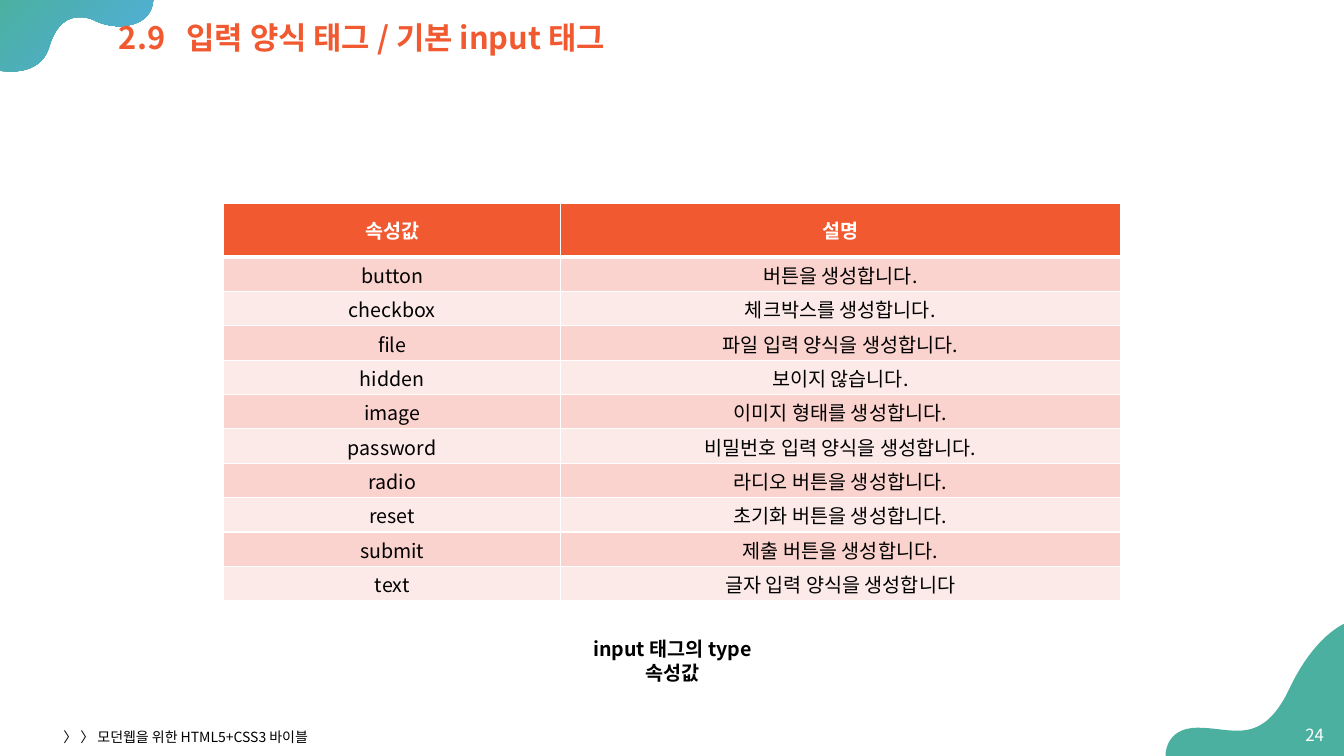
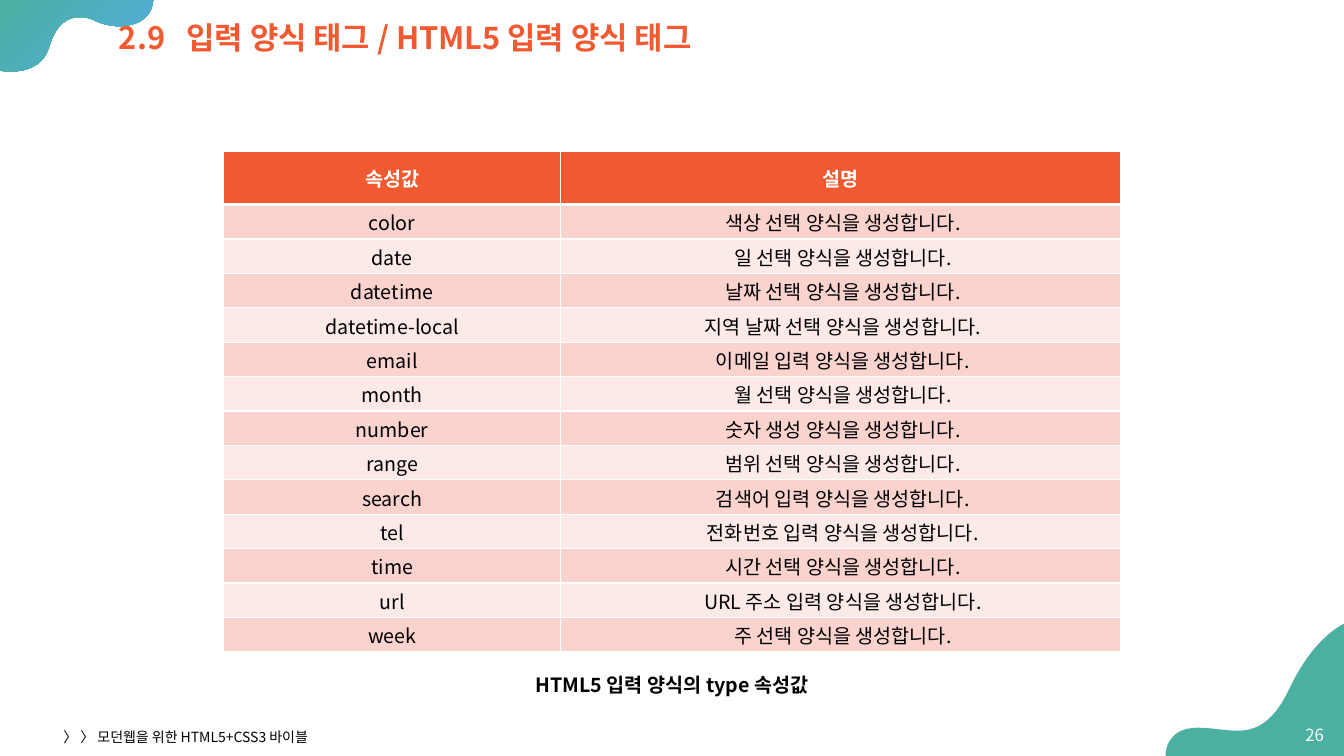
from lxml import etree
from pptx import Presentation
from pptx.dml.color import RGBColor
from pptx.enum.text import MSO_ANCHOR, MSO_AUTO_SIZE, PP_ALIGN
from pptx.oxml.ns import qn
from pptx.util import Inches, Pt

LEFT, CENTER, RIGHT = PP_ALIGN.LEFT, PP_ALIGN.CENTER, PP_ALIGN.RIGHT
TOP, MIDDLE = MSO_ANCHOR.TOP, MSO_ANCHOR.MIDDLE
NO_FIT, GROW = MSO_AUTO_SIZE.NONE, MSO_AUTO_SIZE.SHAPE_TO_FIT_TEXT

# Shared style
FONT = "Noto Sans CJK KR"
ORANGE, TEAL, BLUE = "F15A31", "4BB0A0", "52AEE1"
WHITE, BLACK = "FFFFFF", "000000"
ROW_FILLS = ("FAD2CE", "FCEAE8")
SLIDE_WIDTH, SLIDE_HEIGHT = 13.33, 7.5
TITLE_LAYOUT = 5

# Corner waves: a start point, then lines (x, y) and Bezier curves (two controls and an end)
TOP_WAVE = [
    (1.52, -0.02), (-0.01, -0.02), (-0.01, 0.7),
    (-0.01, 0.7, 0.04, 0.71, 0.11, 0.71),
    (0.24, 0.71, 0.43, 0.67, 0.49, 0.46),
    (0.56, 0.23, 0.68, 0.17, 0.79, 0.17),
    (0.84, 0.17, 0.89, 0.18, 0.93, 0.2),
    (1.01, 0.24, 1.1, 0.26, 1.18, 0.26),
    (1.37, 0.26, 1.52, 0.17, 1.52, -0.02),
]
BOTTOM_WAVE = [
    (13.35, 6.18),
    (13.35, 6.18, 13.04, 6.29, 12.78, 6.85),
    (12.62, 7.18, 12.45, 7.25, 12.27, 7.25),
    (12.15, 7.25, 12.02, 7.22, 11.88, 7.22),
    (11.54, 7.22, 11.56, 7.51, 11.56, 7.51),
    (13.35, 7.51), (13.35, 6.18),
]

# Content
FOOTER = "〉 〉 모던웹을 위한 HTML5+CSS3 바이블"
HEADER = ("속성값", "설명")
COLUMN_WIDTHS = (3.34, 5.55)
TABLE_LEFT, HEADER_HEIGHT = 2.22, 0.53
SLIDES = [
    {
        "title": "2.9\t입력 양식 태그 / 기본 input 태그",
        "number": "24",
        "table_top": 2.02,
        "table_height": 3.94,
        "description_inset": 0.01,
        "caption": "input 태그의 type 속성값",
        "caption_box": (5.5, 6.27, 2.34, 0.34),
        "rows": [
            ("button", "버튼을 생성합니다."),
            ("checkbox", "체크박스를 생성합니다."),
            ("file", "파일 입력 양식을 생성합니다."),
            ("hidden", "보이지 않습니다."),
            ("image", "이미지 형태를 생성합니다."),
            ("password", "비밀번호 입력 양식을 생성합니다."),
            ("radio", "라디오 버튼을 생성합니다."),
            ("reset", "초기화 버튼을 생성합니다."),
            ("submit", "제출 버튼을 생성합니다."),
            ("text", "글자 입력 양식을 생성합니다"),
        ],
    },
    {
        "title": "2.9\t입력 양식 태그 / HTML5 입력 양식 태그",
        "number": "26",
        "table_top": 1.5,
        "table_height": 4.97,
        "description_inset": 0.06,
        "caption": "HTML5 입력 양식의 type 속성값",
        "caption_box": (5.2, 6.63, 2.93, 0.34),
        "rows": [
            ("color", "색상 선택 양식을 생성합니다."),
            ("date", "일 선택 양식을 생성합니다."),
            ("datetime", "날짜 선택 양식을 생성합니다."),
            ("datetime-local", "지역 날짜 선택 양식을 생성합니다."),
            ("email", "이메일 입력 양식을 생성합니다."),
            ("month", "월 선택 양식을 생성합니다."),
            ("number", "숫자 생성 양식을 생성합니다."),
            ("range", "범위 선택 양식을 생성합니다."),
            ("search", "검색어 입력 양식을 생성합니다."),
            ("tel", "전화번호 입력 양식을 생성합니다."),
            ("time", "시간 선택 양식을 생성합니다."),
            ("url", "URL 주소 입력 양식을 생성합니다."),
            ("week", "주 선택 양식을 생성합니다."),
        ],
    },
]


def color(hex_string):
    return RGBColor.from_string(hex_string)


def style_paragraph(paragraph, size, text_color, bold=False, align=LEFT):
    paragraph.alignment = align
    font = paragraph.font
    font.size, font.bold = Pt(size), bold
    font.color.rgb = color(text_color)
    font.name = FONT
    # Hangul uses the East Asian typeface; pair kerning is off
    run_defaults = paragraph._p.pPr.find(qn("a:defRPr"))
    run_defaults.set("kern", "0")
    east_asian = etree.Element(qn("a:ea"), typeface=FONT)
    run_defaults.find(qn("a:latin")).addnext(east_asian)


def add_text(slide, text, box, size, text_color, bold=False, align=LEFT,
             anchor=MIDDLE, fit=NO_FIT):
    frame = slide.shapes.add_textbox(*map(Inches, box)).text_frame
    frame.word_wrap = True
    frame.auto_size = fit
    frame.vertical_anchor = anchor
    frame.text = text
    style_paragraph(frame.paragraphs[0], size, text_color, bold, align)


def add_wave(slide, outline):
    ends = [(Inches(segment[-2]), Inches(segment[-1])) for segment in outline]
    builder = slide.shapes.build_freeform(*ends[0])
    builder.add_line_segments(ends[1:], close=True)
    wave = builder.convert_to_shape()
    wave.shadow.inherit = False
    wave.line.fill.background()
    # Turn the segments that have control points into Bezier curves
    lines = list(wave.element.iter(qn("a:lnTo")))
    for line, segment in zip(lines, outline[1:]):
        if len(segment) == 6:
            curve = etree.Element(qn("a:cubicBezTo"))
            for x, y in zip(segment[::2], segment[1::2]):
                etree.SubElement(curve, qn("a:pt"), x=str(Inches(x) - wave.left),
                                 y=str(Inches(y) - wave.top))
            line.getparent().replace(line, curve)
    slide.shapes.title.element.addprevious(wave.element)
    return wave


def add_frame(slide, title_text, number):
    # Corner waves
    fill = add_wave(slide, TOP_WAVE).fill
    fill.gradient()
    fill.gradient_angle = 315
    for stop, stop_color in zip(fill.gradient_stops, (TEAL, BLUE)):
        stop.color.rgb = color(stop_color)
    fill = add_wave(slide, BOTTOM_WAVE).fill
    fill.solid()
    fill.fore_color.rgb = color(TEAL)

    # Title, with a tab stop after the section number
    title = slide.shapes.title
    title.left, title.top, title.width, title.height = map(Inches, (1.08, 0.18, 12.25, 0.43))
    frame = title.text_frame
    frame.auto_size = NO_FIT
    frame.vertical_anchor = MIDDLE
    frame.text = title_text
    paragraph = frame.paragraphs[0]
    paragraph.line_spacing = 0.9
    tabs = etree.SubElement(paragraph._p.get_or_add_pPr(), qn("a:tabLst"))
    etree.SubElement(tabs, qn("a:tab"), pos=str(Inches(0.67)), algn="l")
    style_paragraph(paragraph, 22, ORANGE, bold=True)

    # Page number and footer
    add_text(slide, number, (12.79, 7.09, 0.44, 0.4), 12, WHITE, align=RIGHT)
    add_text(slide, FOOTER, (0.53, 7.19, 4.5, 0.24), 10, BLACK)


def set_borders(cell, top, bottom):
    properties = cell._tc.get_or_add_tcPr()
    widths = (("lnL", 1), ("lnR", 1), ("lnT", top), ("lnB", bottom))
    for index, (side, width) in enumerate(widths):
        line = etree.Element(qn("a:" + side), w=str(Pt(width)))
        solid = etree.SubElement(line, qn("a:solidFill"))
        etree.SubElement(solid, qn("a:srgbClr"), val=WHITE)
        properties.insert(index, line)


def add_attribute_table(slide, rows, top, height, description_inset):
    records = [HEADER] + rows
    table = slide.shapes.add_table(
        len(records), len(HEADER), Inches(TABLE_LEFT), Inches(top),
        Inches(sum(COLUMN_WIDTHS)), Inches(height)).table
    for column, width in zip(table.columns, COLUMN_WIDTHS):
        column.width = Inches(width)
    row_height = (height - HEADER_HEIGHT) / len(rows)
    for row_index, record in enumerate(records):
        is_header = row_index == 0
        table.rows[row_index].height = Inches(HEADER_HEIGHT if is_header else row_height)
        for column_index, text in enumerate(record):
            cell = table.cell(row_index, column_index)
            cell.text = text
            cell.vertical_anchor = MIDDLE
            if not is_header:
                cell.margin_left = Inches(description_inset if column_index else 0.01)
                cell.margin_right = cell.margin_top = Inches(0.01)
                cell.margin_bottom = 0
            cell.fill.solid()
            cell.fill.fore_color.rgb = color(
                ORANGE if is_header else ROW_FILLS[(row_index - 1) % 2])
            set_borders(cell, top=3 if row_index == 1 else 1, bottom=3 if is_header else 1)
            style_paragraph(cell.text_frame.paragraphs[0], 14,
                            WHITE if is_header else BLACK, is_header, CENTER)


def main():
    presentation = Presentation()
    presentation.slide_width = Inches(SLIDE_WIDTH)
    presentation.slide_height = Inches(SLIDE_HEIGHT)
    for content in SLIDES:
        slide = presentation.slides.add_slide(presentation.slide_layouts[TITLE_LAYOUT])
        add_frame(slide, content["title"], content["number"])
        add_attribute_table(slide, content["rows"], content["table_top"],
                            content["table_height"], content["description_inset"])
        add_text(slide, content["caption"], content["caption_box"], 14, BLACK,
                 bold=True, align=CENTER, anchor=TOP, fit=GROW)
    presentation.save("out.pptx")


if __name__ == "__main__":
    main()
